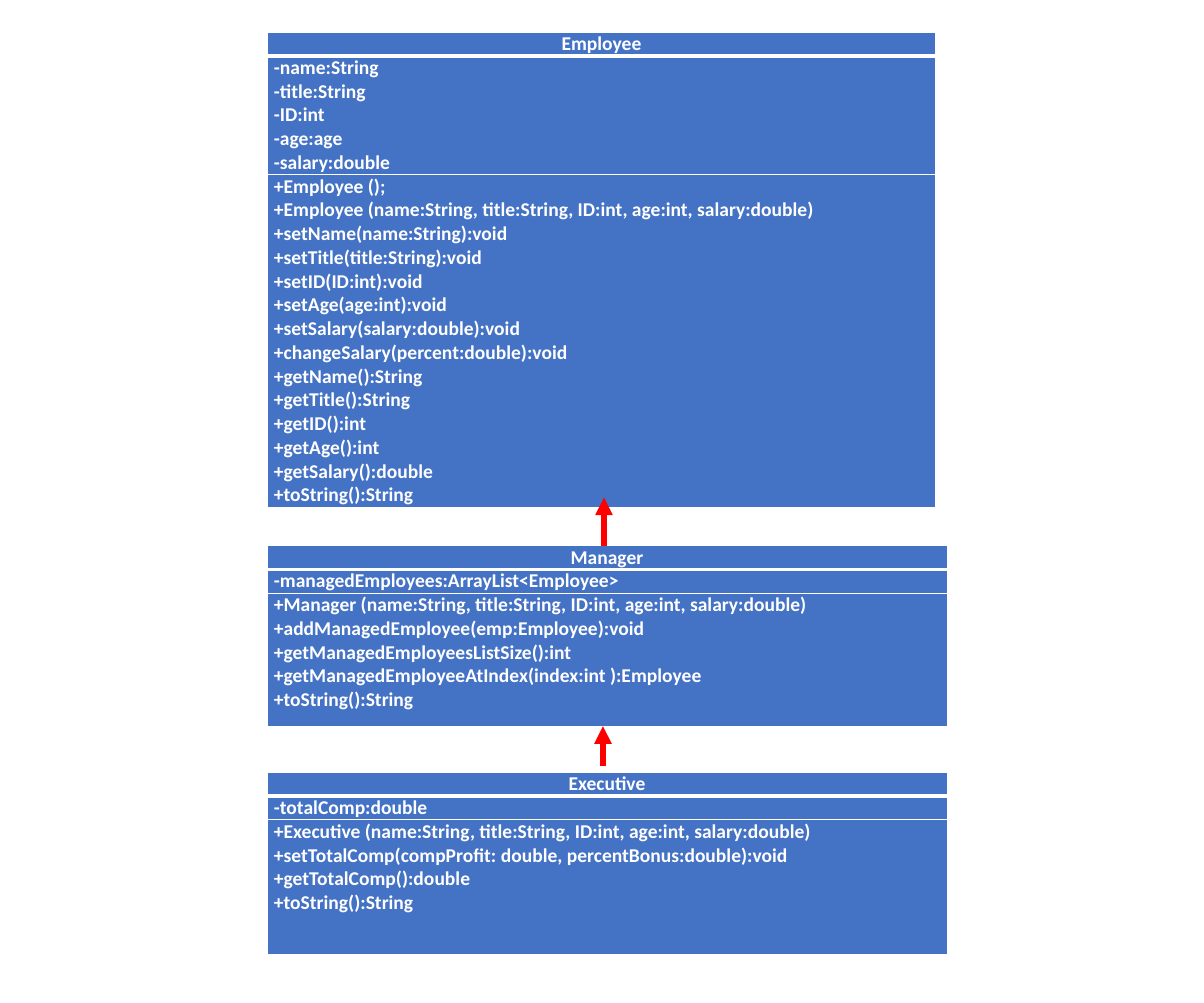
import dataclasses

import lxml.etree
import pptx
import pptx.dml.color
import pptx.enum.shapes
import pptx.enum.text
import pptx.oxml.ns
import pptx.shapes.shapetree
import pptx.table
import pptx.util

BOX_BLUE = pptx.dml.color.RGBColor(0x44, 0x72, 0xC4)
WHITE = pptx.dml.color.RGBColor(0xFF, 0xFF, 0xFF)
ARROW_RED = pptx.dml.color.RGBColor(0xFF, 0x00, 0x00)

SLIDE_WIDTH = pptx.util.Inches(12)
SLIDE_HEIGHT = pptx.util.Inches(10)

# Lengths below are percentages of the slide's width or height.
LEFT = 22.17
TEXT_LINE = 2.37


@dataclasses.dataclass(frozen=True)
class UmlClass:
    name: str
    top: float
    width: float
    fields: list[str]
    methods: list[str]
    spare: float = 0  # room below the last method


@dataclasses.dataclass(frozen=True)
class InheritanceArrow:
    x: float
    start: float
    end: float


CLASSES = [
    UmlClass(
        "Employee", 3.2, 55.58,
        ["-name:String", "-title:String", "-ID:int", "-age:age", "-salary:double"],
        [
            "+Employee ();",
            "+Employee (name:String, title:String, ID:int, age:int, salary:double)",
            "+setName(name:String):void",
            "+setTitle(title:String):void",
            "+setID(ID:int):void",
            "+setAge(age:int):void",
            "+setSalary(salary:double):void",
            "+changeSalary(percent:double):void",
            "+getName():String",
            "+getTitle():String",
            "+getID():int",
            "+getAge():int",
            "+getSalary():double",
            "+toString():String",
        ],
    ),
    UmlClass(
        "Manager", 54.4, 56.5,
        ["-managedEmployees:ArrayList<Employee>"],
        [
            "+Manager (name:String, title:String, ID:int, age:int, salary:double)",
            "+addManagedEmployee(emp:Employee):void",
            "+getManagedEmployeesListSize():int",
            "+getManagedEmployeeAtIndex(index:int ):Employee",
            "+toString():String",
        ],
        spare=1.5,
    ),
    UmlClass(
        "Executive", 77, 56.5,
        ["-totalComp:double"],
        [
            "+Executive (name:String, title:String, ID:int, age:int, salary:double)",
            "+setTotalComp(compProfit: double, percentBonus:double):void",
            "+getTotalComp():double",
            "+toString():String",
        ],
        spare=4,
    ),
]

ARROWS = [InheritanceArrow(50.17, 54.4, 49.6), InheritanceArrow(50.08, 76.4, 72.4)]


def across(percent: float) -> pptx.util.Emu:
    return pptx.util.Emu(round(SLIDE_WIDTH * percent / 100))


def down(percent: float) -> pptx.util.Emu:
    return pptx.util.Emu(round(SLIDE_HEIGHT * percent / 100))


def add_child(parent: lxml.etree._Element, tag: str, **attributes: str) -> lxml.etree._Element:
    return lxml.etree.SubElement(parent, pptx.oxml.ns.qn(tag), **attributes)


def set_borders(cell: pptx.table._Cell, top: float, bottom: float) -> None:
    """Draw white borders; widths are in points, the sides are always 1."""
    properties = cell._tc.get_or_add_tcPr()
    for side, width in (("L", 1), ("R", 1), ("T", top), ("B", bottom)):
        border = add_child(properties, f"a:ln{side}", w=str(pptx.util.Pt(width)))
        add_child(add_child(border, "a:solidFill"), "a:srgbClr", val=str(WHITE))


def write_lines(
    cell: pptx.table._Cell, lines: list[str], alignment: pptx.enum.text.PP_ALIGN
) -> None:
    cell.margin_left = cell.margin_right = pptx.util.Inches(0.07)
    cell.margin_top = cell.margin_bottom = 0
    frame = cell.text_frame
    for index, line in enumerate(lines):
        paragraph = frame.add_paragraph() if index else frame.paragraphs[0]
        paragraph.alignment = alignment
        run = paragraph.add_run()
        run.text = line
        run.font.name = "Calibri"
        run.font.size = pptx.util.Pt(14)
        run.font.bold = True
        run.font.color.rgb = WHITE


def draw_class(shapes: pptx.shapes.shapetree.SlideShapes, uml: UmlClass) -> None:
    sections = [[uml.name], uml.fields, uml.methods]
    heights = [TEXT_LINE * len(lines) for lines in sections]
    heights[-1] += uml.spare
    table = shapes.add_table(
        len(sections), 1, across(LEFT), down(uml.top), across(uml.width), down(sum(heights))
    ).table
    table.horz_banding = False
    for index, (lines, height) in enumerate(zip(sections, heights)):
        table.rows[index].height = down(height)
        cell = table.cell(index, 0)
        set_borders(cell, top=3 if index == 1 else 1, bottom=3 if index == 0 else 1)
        cell.fill.solid()
        cell.fill.fore_color.rgb = BOX_BLUE
        align = pptx.enum.text.PP_ALIGN
        write_lines(cell, lines, align.LEFT if index else align.CENTER)


def draw_arrow(shapes: pptx.shapes.shapetree.SlideShapes, arrow: InheritanceArrow) -> None:
    connector = shapes.add_connector(
        pptx.enum.shapes.MSO_CONNECTOR.STRAIGHT,
        across(arrow.x), down(arrow.start), across(arrow.x), down(arrow.end),
    )
    connector.line.color.rgb = ARROW_RED
    connector.line.width = pptx.util.Pt(4.25)
    properties = connector.element.spPr
    add_child(properties.find(pptx.oxml.ns.qn("a:ln")), "a:tailEnd", type="triangle")
    add_child(properties, "a:effectLst")


def main() -> None:
    presentation = pptx.Presentation()
    presentation.slide_width = SLIDE_WIDTH
    presentation.slide_height = SLIDE_HEIGHT
    slide = presentation.slides.add_slide(presentation.slide_layouts[6])
    for uml in CLASSES:
        draw_class(slide.shapes, uml)
    for arrow in ARROWS:
        draw_arrow(slide.shapes, arrow)
    presentation.save("out.pptx")


if __name__ == "__main__":
    main()
